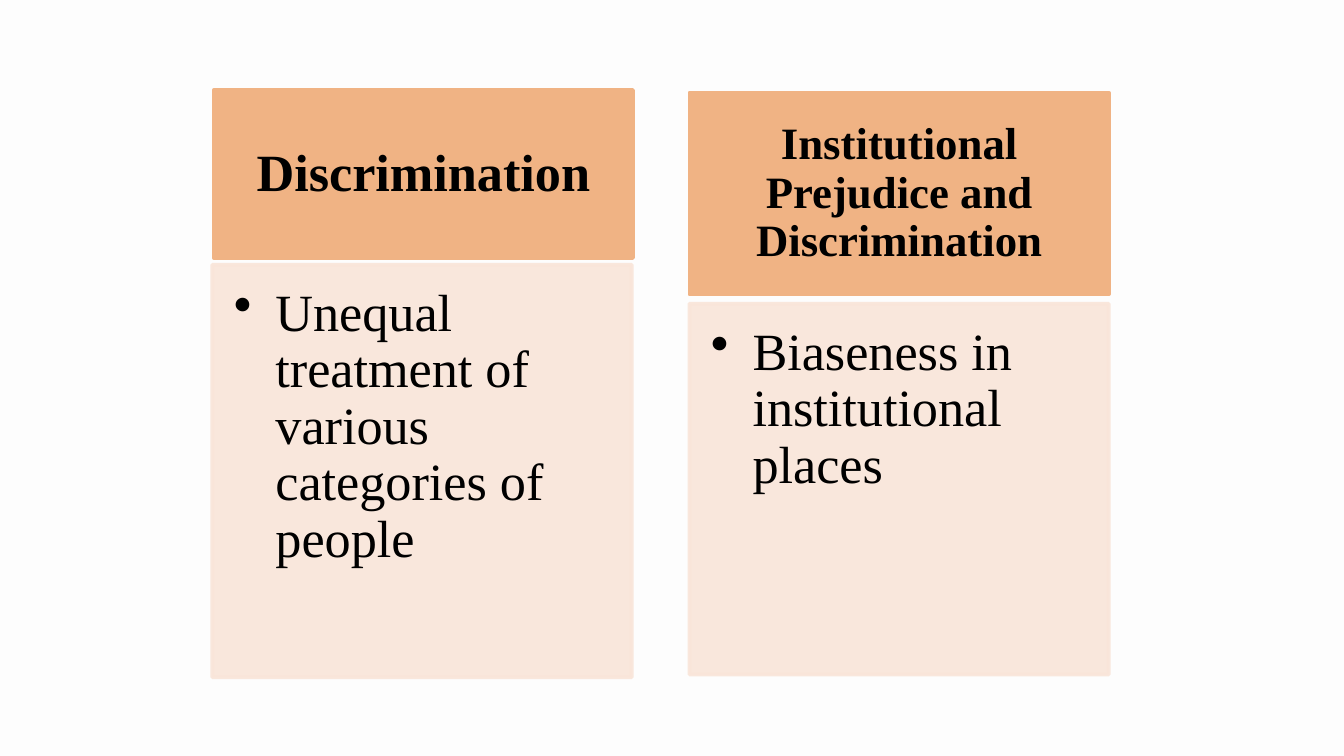
"""Build a slide that defines discrimination and institutional prejudice."""
from pptx import Presentation
from pptx.dml.color import RGBColor
from pptx.enum.shapes import MSO_SHAPE
from pptx.enum.text import MSO_ANCHOR, PP_ALIGN
from pptx.oxml import parse_xml
from pptx.oxml.ns import nsdecls, qn
from pptx.util import Inches, Pt

BLACK = RGBColor(0x00, 0x00, 0x00)
ORANGE = RGBColor(0xF0, 0xB3, 0x84)
PEACH = RGBColor(0xF9, 0xE5, 0xD9)
PAPER = RGBColor(0xFD, 0xFD, 0xFD)
FONT = "Times New Roman"
WIDTH = 3.12
COLUMNS = [
    ("Discrimination", 28, (1.59, 0.67, 1.25), (0.22, 0.12, 0.22, 0.12),
     "Unequal treatment of various categories of people", (1.58, 1.97, 3.07)),
    ("Institutional Prejudice and Discrimination", 24,
     (5.13, 0.69, 1.5), (0.19, 0.11, 0.19, 0.11),
     "Biaseness in institutional places", (5.13, 2.26, 2.76)),
]


def add_panel(slide, place, color, alpha=100):
    left, top, height = place
    panel = slide.shapes.add_shape(
        MSO_SHAPE.RECTANGLE, Inches(left), Inches(top),
        Inches(WIDTH), Inches(height))
    panel.shadow.inherit = False
    panel.fill.solid()
    panel.fill.fore_color.rgb = color
    panel.line.color.rgb = color
    panel.line.width = Pt(2)
    if alpha < 100:
        for tint in panel.fill._xPr.iter(qn("a:srgbClr")):
            tint.append(parse_xml(
                f'<a:alpha {nsdecls("a")} val="{alpha * 1000}"/>'))
    return panel


def add_bullet(para, indent):
    props = para._p.get_or_add_pPr()
    props.set("marL", str(Inches(indent)))
    props.set("indent", str(-Inches(indent)))
    for xml in (f'<a:buClr {nsdecls("a")}><a:srgbClr val="{BLACK}"/></a:buClr>',
                f'<a:buChar {nsdecls("a")} char="•"/>'):
        props.append(parse_xml(xml))


def set_text(panel, text, size, insets, bold=False, bullet=False,
             align=PP_ALIGN.LEFT, anchor=MSO_ANCHOR.TOP):
    frame = panel.text_frame
    frame.word_wrap = True
    frame.vertical_anchor = anchor
    (frame.margin_left, frame.margin_top,
     frame.margin_right, frame.margin_bottom) = map(Inches, insets)
    para = frame.paragraphs[0]
    para.alignment = align
    para.line_spacing = 0.9
    if bullet:
        para.level = 1
        add_bullet(para, 0.31)
    run = para.add_run()
    run.text = text
    run.font.name = FONT
    run.font.size = Pt(size)
    run.font.bold = bold
    run.font.color.rgb = BLACK


def add_column(slide, title, size, head, insets, note, body):
    set_text(add_panel(slide, head, ORANGE), title, size, insets, bold=True,
             align=PP_ALIGN.CENTER, anchor=MSO_ANCHOR.MIDDLE)
    set_text(add_panel(slide, body, PEACH, alpha=90), note, 28,
             (0.16, 0.16, 0.22, 0.24), bullet=True)


def main():
    deck = Presentation()
    deck.slide_width = Inches(10)
    deck.slide_height = deck.slide_width * 9 // 16
    slide = deck.slides.add_slide(deck.slide_layouts[6])
    slide.background.fill.solid()
    slide.background.fill.fore_color.rgb = PAPER
    for column in COLUMNS:
        add_column(slide, *column)
    deck.save("out.pptx")


if __name__ == "__main__":
    main()
